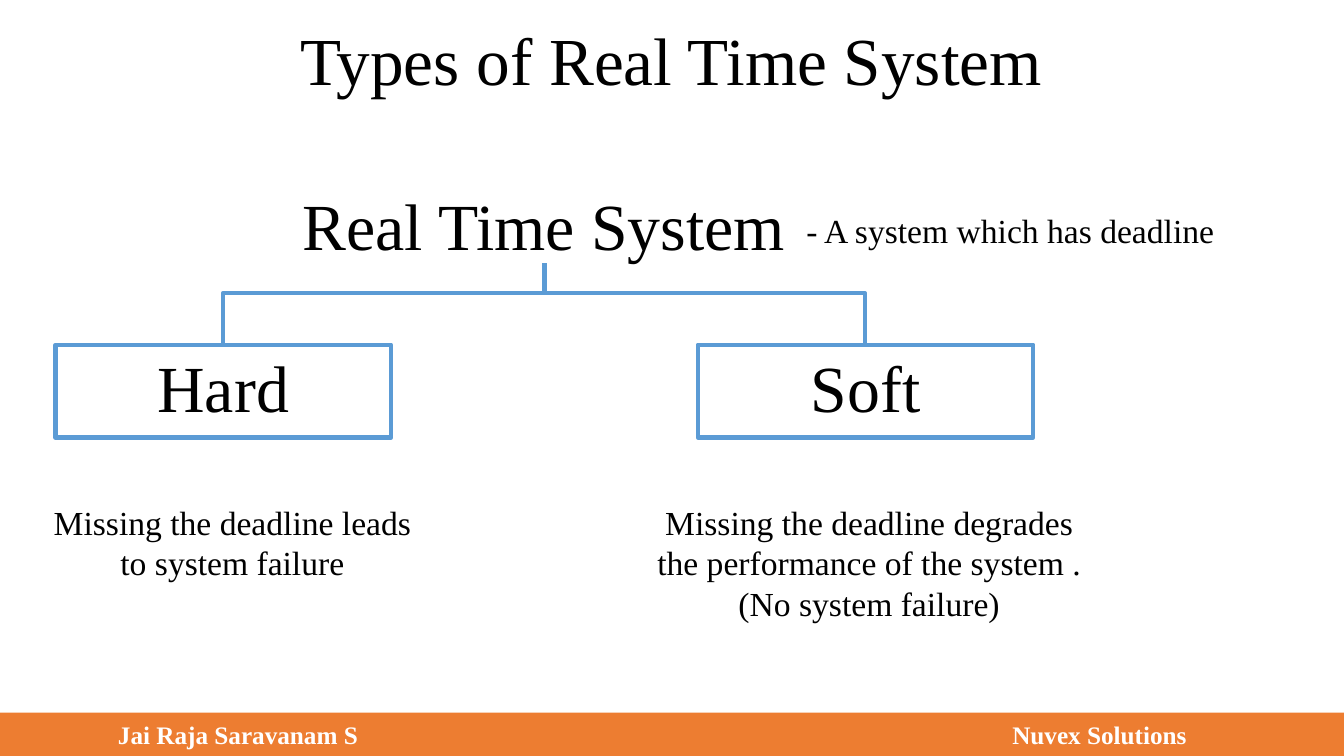
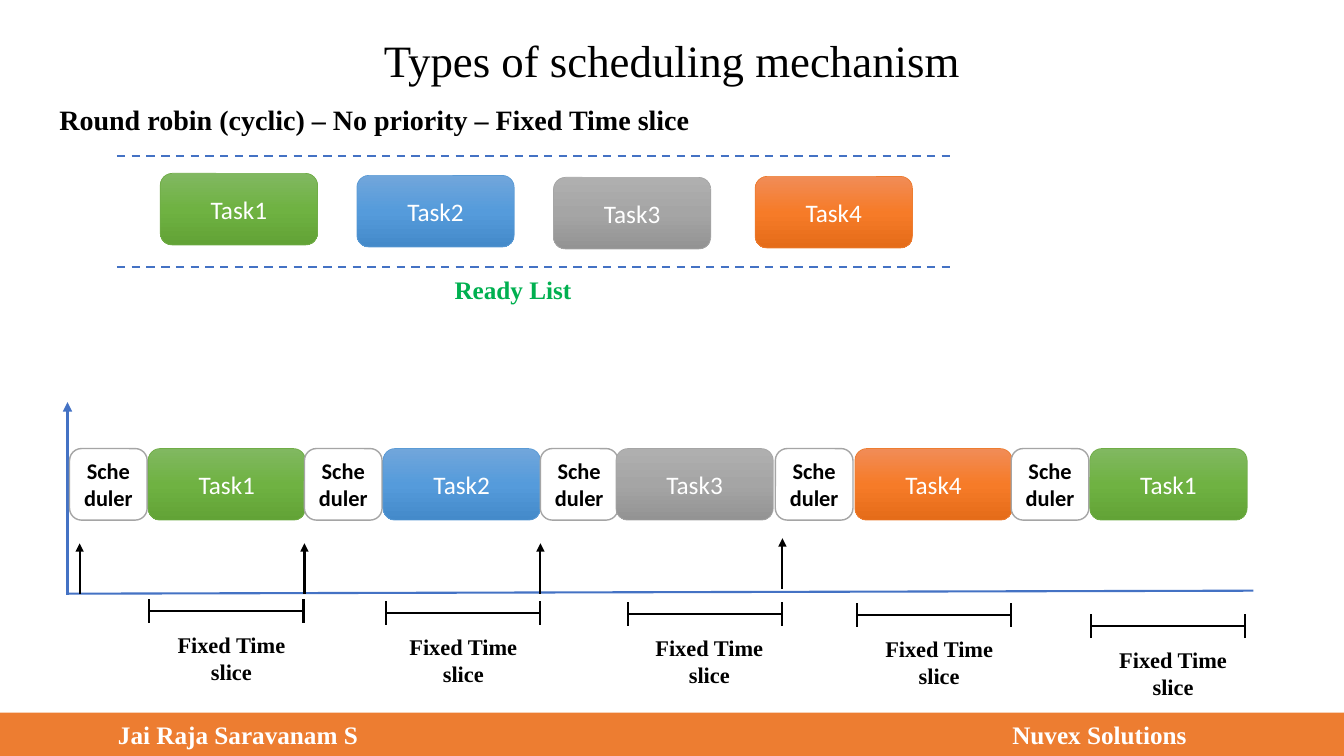
import lxml.etree
import pptx
import pptx.dml.color
import pptx.enum.dml
import pptx.enum.shapes
import pptx.enum.text
import pptx.oxml.ns
import pptx.util

EMU_PER_PX = 9144  # 100 px to the inch
SLIDE_WIDTH, SLIDE_HEIGHT = 1333, 750
SERIF, SANS = "Times New Roman", "Calibri"
COLORS = {
    "black": "000000",
    "white": "FFFFFF",
    "band": "ED7D31",
    "tree": "5B9BD5",
    "axis": "4472C4",
    "ready": "00B050",
    "grey": "A5A5A5",
}
# Outline, then the gradient from top to bottom
TASKS = {
    "Task1": ("70AD47", ("81B861", "6FB242", "62A336")),
    "Task2": ("5B9BD5", ("71A6DB", "559BDB", "448ACA")),
    "Task3": ("A5A5A5", ("AFAFAF", "A5A5A5", "939393")),
    "Task4": ("ED7D31", ("F18C57", "F67B28", "E56C19")),
}
READY_LIST = [("Task1", 159, 172), ("Task2", 354, 174),
              ("Task3", 549, 176), ("Task4", 749, 175)]
# Task, its left edge, left and top of its bracket, left of the caption
TIME_SLICES = [
    ("Task1", 147, 148, 606, 149),
    ("Task2", 380, 383, 608, 379),
    ("Task3", 611, 623, 609, 623),
    ("Task4", 848, 850, 610, 851),
    ("Task1", 1081, 1082, 621, 1083),
]
TASK_WIDTH, SCHEDULER_WIDTH, TASK_HEIGHT = 156, 77, 71
BRACKET_WIDTH, BRACKET_TICK = 153, 12

qn = pptx.oxml.ns.qn
ALIGN = pptx.enum.text.PP_ALIGN
ANCHOR = pptx.enum.text.MSO_ANCHOR
SHAPE = pptx.enum.shapes.MSO_SHAPE


def px(*lengths):
    return [pptx.util.Emu(length * EMU_PER_PX) for length in lengths]


def rgb(value):
    return pptx.dml.color.RGBColor.from_string(value)


def set_text(shape, text, size, font=SERIF, color="black", bold=False,
             align=ALIGN.CENTER, anchor=ANCHOR.MIDDLE, spacing=None, inset=None):
    frame = shape.text_frame
    frame.word_wrap = True
    frame.vertical_anchor = anchor
    if inset is not None:
        frame.margin_left, frame.margin_top, frame.margin_right, frame.margin_bottom = px(*[inset] * 4)
    frame.text = text
    for paragraph in frame.paragraphs:
        paragraph.alignment = align
        if spacing:
            paragraph.line_spacing = spacing
        for run in paragraph.runs:
            run.font.name = font
            run.font.size = pptx.util.Pt(size)
            run.font.bold = bold
            run.font.color.rgb = rgb(COLORS[color])


def add_text(slide, box, text, size, anchor=ANCHOR.TOP, **style):
    set_text(slide.shapes.add_textbox(*px(*box)), text, size, anchor=anchor, **style)


def add_box(slide, kind, box, fill=None, line=None, width=1):
    shape = slide.shapes.add_shape(kind, *px(*box))
    shape.shadow.inherit = False
    if fill:
        shape.fill.solid()
        shape.fill.fore_color.rgb = rgb(fill)
    if line:
        shape.line.color.rgb = rgb(line)
        shape.line.width = pptx.util.Pt(width)
    else:
        shape.line.fill.background()
    return shape


def add_line(slide, start, end, color="black", width=1.5, dashed=False, arrow=False):
    connector = slide.shapes.add_connector(
        pptx.enum.shapes.MSO_CONNECTOR.STRAIGHT, *px(*start, *end))
    connector.line.color.rgb = rgb(COLORS[color])
    connector.line.width = pptx.util.Pt(width)
    if dashed:
        connector.line.dash_style = pptx.enum.dml.MSO_LINE.DASH
    properties = connector.element.spPr
    if arrow:
        lxml.etree.SubElement(properties.find(qn("a:ln")), qn("a:tailEnd"), type="triangle")
    lxml.etree.SubElement(properties, qn("a:effectLst"))


def add_title(slide, box, text, size, anchor):
    add_text(slide, box, text, size, anchor=anchor, spacing=0.9)


def add_footer(slide):
    band = add_box(slide, SHAPE.RECTANGLE, (0, 707, SLIDE_WIDTH, 43), COLORS["band"])
    set_text(band, "Jai Raja Saravanam S\tNuvex Solutions", 18,
             color="white", bold=True, align=ALIGN.LEFT)
    left, tab = px(117, 887)
    band.text_frame.margin_left = left
    properties = band.text_frame.paragraphs[0]._p.get_or_add_pPr()
    tabs = lxml.etree.SubElement(properties, qn("a:tabLst"))
    lxml.etree.SubElement(tabs, qn("a:tab"), pos=str(int(tab)), algn="l")


def add_branch(slide, points):
    """Draw one open elbow line of the tree."""
    builder = slide.shapes.build_freeform(*points[0], scale=EMU_PER_PX)
    builder.add_line_segments(points[1:], close=False)
    branch = builder.convert_to_shape()
    branch.shadow.inherit = False
    branch.fill.background()
    branch.line.color.rgb = rgb(COLORS["tree"])
    branch.line.width = pptx.util.Pt(3)


def add_task(slide, name, left, top):
    outline, gradient = TASKS[name]
    task = add_box(slide, SHAPE.ROUNDED_RECTANGLE,
                   (left, top, TASK_WIDTH, TASK_HEIGHT), line=outline, width=0.5)
    task.fill.gradient()
    task.fill.gradient_angle = 270
    stops = task.element.spPr.find(".//" + qn("a:gsLst"))
    for stop in list(stops):
        stops.remove(stop)
    for position, color in zip((0, 50000, 100000), gradient):
        stop = lxml.etree.SubElement(stops, qn("a:gs"), pos=str(position))
        lxml.etree.SubElement(stop, qn("a:srgbClr"), val=color)
    set_text(task, name, 18, font=SANS, color="white")


def add_scheduler(slide, left, top):
    scheduler = add_box(slide, SHAPE.ROUNDED_RECTANGLE,
                        (left, top, SCHEDULER_WIDTH, TASK_HEIGHT),
                        COLORS["white"], COLORS["grey"])
    set_text(scheduler, "Scheduler", 16, font=SANS, bold=True)


def add_bracket(slide, left, middle):
    right = left + BRACKET_WIDTH
    add_line(slide, (left, middle), (right, middle))
    for x in (left, right):
        add_line(slide, (x, middle + BRACKET_TICK), (x, middle - BRACKET_TICK))


def build_system_types(slide):
    root_x, root_bottom, elbow_y, node_top = 540, 261, 291, 342
    node_width, node_height = 333, 92
    add_title(slide, (166, 13, 1000, 91), "Types of Real Time System", 48, ANCHOR.BOTTOM)
    node_style = {"spacing": 0.9, "inset": 3}
    for name, left in (("Hard", 55), ("Soft", 692)):
        center = left + node_width // 2
        add_branch(slide, [(root_x, root_bottom), (root_x, elbow_y),
                           (center, elbow_y), (center, node_top)])
        node = add_box(slide, SHAPE.RECTANGLE, (left, node_top, node_width, node_height),
                       COLORS["white"], COLORS["tree"], 3)
        set_text(node, name, 47, **node_style)
    add_text(slide, (55, 193, 969, 68), "Real Time System", 47,
             anchor=ANCHOR.MIDDLE, **node_style)
    add_text(slide, (790, 203, 543, 50), "- A system which has deadline", 24, align=ALIGN.LEFT)
    add_text(slide, (32, 493, 397, 91), "Missing the deadline leads to system failure", 24)
    add_text(slide, (641, 493, 442, 131),
             "Missing the deadline degrades the performance of the system .(No system failure)", 24)
    add_footer(slide)


def build_scheduling(slide):
    add_title(slide, (60, 34, 1213, 83), "Types of scheduling mechanism", 32, ANCHOR.TOP)
    add_text(slide, (49, 80, 1194, 55), "Round robin (cyclic) – No priority – Fixed Time slice",
             20, bold=True, align=ALIGN.LEFT, spacing=1.5)

    for y in (155, 265):
        add_line(slide, (116, y), (947, y), "axis", dashed=True)
    for name, left, top in READY_LIST:
        add_task(slide, name, left, top)
    add_text(slide, (441, 267, 139, 40), "Ready List", 18,
             color="ready", bold=True, align=ALIGN.LEFT)

    add_line(slide, (67, 589), (1243, 586), "axis")
    add_line(slide, (67, 590), (67, 399), "axis", 2.25, arrow=True)
    for index, (name, left, bracket_left, bracket_y, caption_left) in enumerate(TIME_SLICES):
        add_scheduler(slide, 69 + index * 467 // 2, 445)
        add_task(slide, name, left, 445)
        add_bracket(slide, bracket_left, bracket_y)
        add_text(slide, (caption_left, bracket_y + 15, 161, 64),
                 "Fixed Time\nslice", 16, bold=True)
    for x, bottom in ((79, 589), (302, 589), (536, 589), (776, 584)):
        add_line(slide, (x, bottom), (x, bottom - 50), arrow=True)
    add_footer(slide)


def main():
    presentation = pptx.Presentation()
    presentation.slide_width, presentation.slide_height = px(SLIDE_WIDTH, SLIDE_HEIGHT)
    for build in (build_system_types, build_scheduling):
        build(presentation.slides.add_slide(presentation.slide_layouts[6]))
    presentation.save("out.pptx")


if __name__ == "__main__":
    main()
